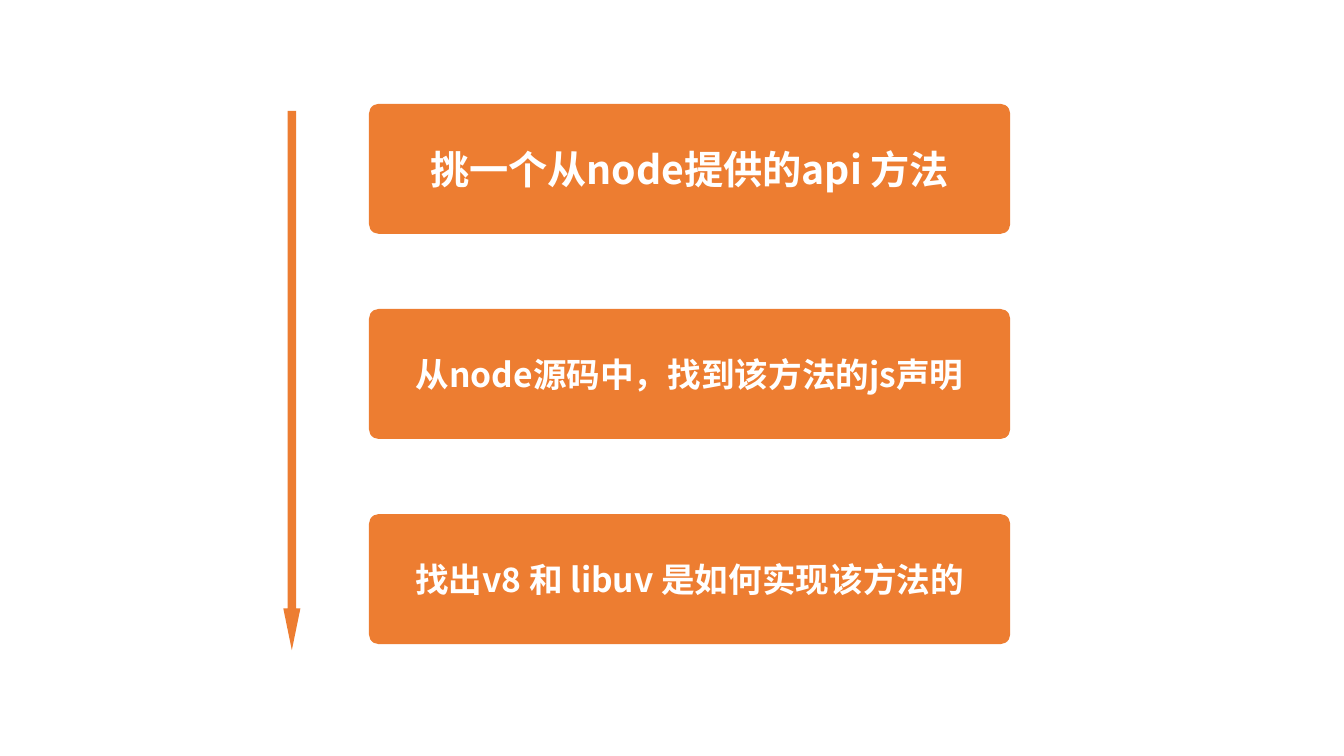
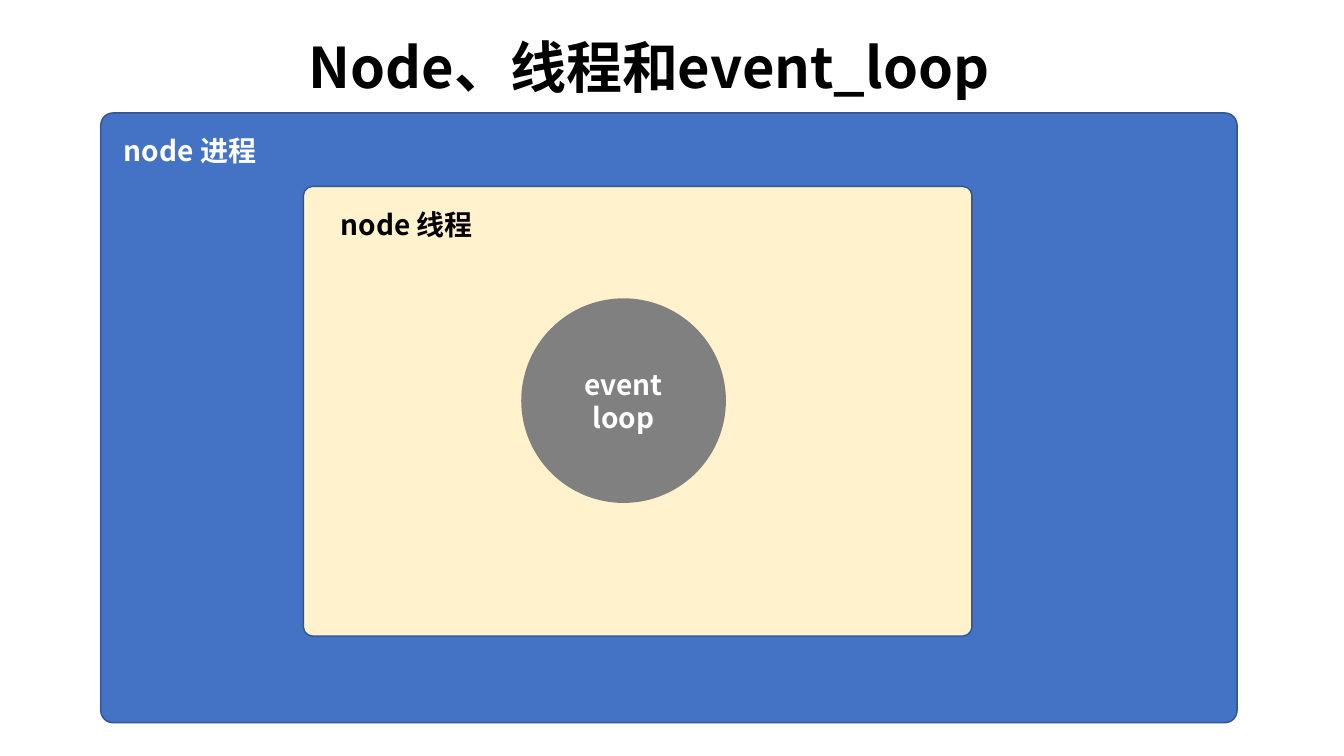
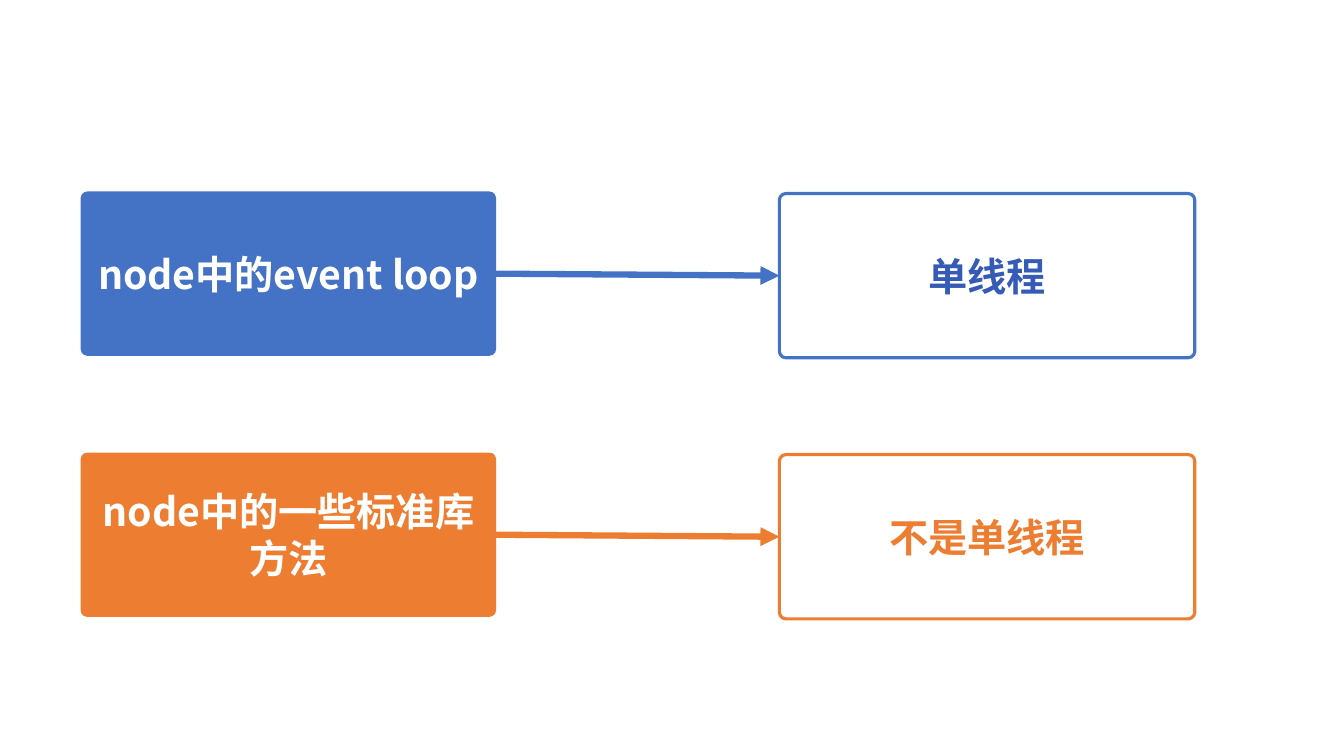
from dataclasses import dataclass

from lxml import etree
from pptx import Presentation
from pptx.dml.color import RGBColor
from pptx.enum.shapes import MSO_CONNECTOR, MSO_SHAPE
from pptx.enum.text import MSO_ANCHOR, PP_ALIGN
from pptx.oxml.ns import qn
from pptx.util import Inches, Pt

ROUNDED = MSO_SHAPE.ROUNDED_RECTANGLE
DOWN_ARROW = MSO_SHAPE.DOWN_ARROW
OVAL = MSO_SHAPE.OVAL
STRAIGHT = MSO_CONNECTOR.STRAIGHT
CENTER, LEFT = PP_ALIGN.CENTER, PP_ALIGN.LEFT
MIDDLE = MSO_ANCHOR.MIDDLE
LEFT_SIDE, RIGHT_SIDE = 1, 3


@dataclass(frozen=True)
class Theme:
    orange: str = "ED7D31"
    blue: str = "4472C4"
    dark_blue: str = "325491"
    text_blue: str = "355BB7"
    cream: str = "FFF2CC"
    gray: str = "808080"
    white: str = "FFFFFF"
    black: str = "000000"
    font: str = "Noto Sans CJK SC"
    step_font: str = "Noto Sans CJK JP"
    title_size: int = 40
    box_size: int = 28
    step_size: int = 24
    label_size: int = 20


THEME = Theme()


def write(shape, text, size, color, align=CENTER, font=THEME.font):
    """Put one bold paragraph into a shape."""
    shape.text_frame.word_wrap = True
    paragraph = shape.text_frame.paragraphs[0]
    paragraph.text = text
    paragraph.alignment = align
    paragraph.font.name = font
    paragraph.font.size = Pt(size)
    paragraph.font.bold = True
    paragraph.font.color.rgb = RGBColor.from_string(color)
    # East Asian glyphs need the typeface as well
    defaults = paragraph._p.pPr.find(qn("a:defRPr"))
    etree.SubElement(defaults, qn("a:ea")).set("typeface", font)


def add_label(slide, left, top, width, height, text, size, color, align=LEFT):
    label = slide.shapes.add_textbox(
        Inches(left), Inches(top), Inches(width), Inches(height))
    write(label, text, size, color, align)


def add_block(slide, kind, left, top, width, height, fill=None, line=None,
              line_width=1, adjustments=()):
    """Add a flat preset shape, optionally filled or outlined."""
    block = slide.shapes.add_shape(
        kind, Inches(left), Inches(top), Inches(width), Inches(height))
    block.shadow.inherit = False
    for index, value in enumerate(adjustments):
        block.adjustments[index] = value
    if fill:
        block.fill.solid()
        block.fill.fore_color.rgb = RGBColor.from_string(fill)
    else:
        block.fill.background()
    if line:
        block.line.color.rgb = RGBColor.from_string(line)
        block.line.width = Pt(line_width)
    else:
        block.line.fill.background()
    block.text_frame.vertical_anchor = MIDDLE
    return block


def add_arrow(slide, source, target, color):
    """Join the right side of one box to the left side of another."""
    arrow = slide.shapes.add_connector(STRAIGHT, 0, 0, 0, 0)
    arrow.begin_connect(source, RIGHT_SIDE)
    arrow.end_connect(target, LEFT_SIDE)
    arrow.line.color.rgb = RGBColor.from_string(color)
    arrow.line.width = Pt(4.5)
    etree.SubElement(arrow.line._get_or_add_ln(), qn("a:tailEnd")).set("type", "triangle")
    etree.SubElement(arrow._element.spPr, qn("a:effectLst"))


def build_steps(slide):
    steps = [
        ("挑一个从node提供的api 方法", THEME.box_size),
        ("从node源码中，找到该方法的js声明", THEME.step_size),
        ("找出v8 和 libuv 是如何实现该方法的", THEME.step_size),
    ]
    first_top, pitch = 1.03, 2.035
    for index, (text, size) in enumerate(steps):
        step = add_block(slide, ROUNDED, 3.66, first_top + index * pitch, 6.36, 1.29,
                         THEME.orange, adjustments=[0.075])
        write(step, text, size, THEME.white, font=THEME.step_font)
    add_block(slide, DOWN_ARROW, 2.81, 1.1, 0.17, 5.35, THEME.orange,
              adjustments=[0.5, 2.44])


def build_process(slide):
    # The trailing space belongs to the centred title
    add_label(slide, 2.29, 0.27, 8.42, 0.77, "Node、线程和event_loop ",
              THEME.title_size, THEME.black, CENTER)
    # Nested containers: process, then thread
    containers = [
        ((1, 1.12, 11.27, 6.05), THEME.blue, (1.13, 1.28), "node 进程", THEME.white),
        ((3.01, 1.85, 6.63, 4.46), THEME.cream, (3.28, 2.01), "node 线程", THEME.black),
    ]
    for bounds, fill, label_position, text, color in containers:
        add_block(slide, ROUNDED, *bounds, fill, THEME.dark_blue, adjustments=[0.02])
        add_label(slide, *label_position, 4.29, 0.44, text, THEME.label_size, color)
    event_loop = add_block(slide, OVAL, 5.17, 2.96, 2.03, 2.03, THEME.gray)
    write(event_loop, "event loop", THEME.label_size, THEME.white)


def build_threading(slide):
    rows = [
        ("node中的event loop", "单线程", THEME.blue, THEME.text_blue),
        ("node中的一些标准库方法", "不是单线程", THEME.orange, THEME.orange),
    ]
    first_top, pitch = 1.9, 2.59
    width, height, corner = 4.12, 1.63, [0.04]
    for index, (subject, answer, color, answer_color) in enumerate(rows):
        top = first_top + index * pitch
        subject_box = add_block(slide, ROUNDED, 0.8, top, width, height, color,
                                adjustments=corner)
        write(subject_box, subject, THEME.box_size, THEME.white)
        answer_box = add_block(slide, ROUNDED, 7.73, top + 0.02, width, height,
                               line=color, line_width=2.25, adjustments=corner)
        write(answer_box, answer, THEME.box_size, answer_color)
        add_arrow(slide, subject_box, answer_box, color)


def main():
    presentation = Presentation()
    presentation.slide_width = Inches(13.33)
    presentation.slide_height = Inches(7.5)
    blank_layout = presentation.slide_layouts[6]
    for build in (build_steps, build_process, build_threading):
        build(presentation.slides.add_slide(blank_layout))
    presentation.save("out.pptx")


if __name__ == "__main__":
    main()
